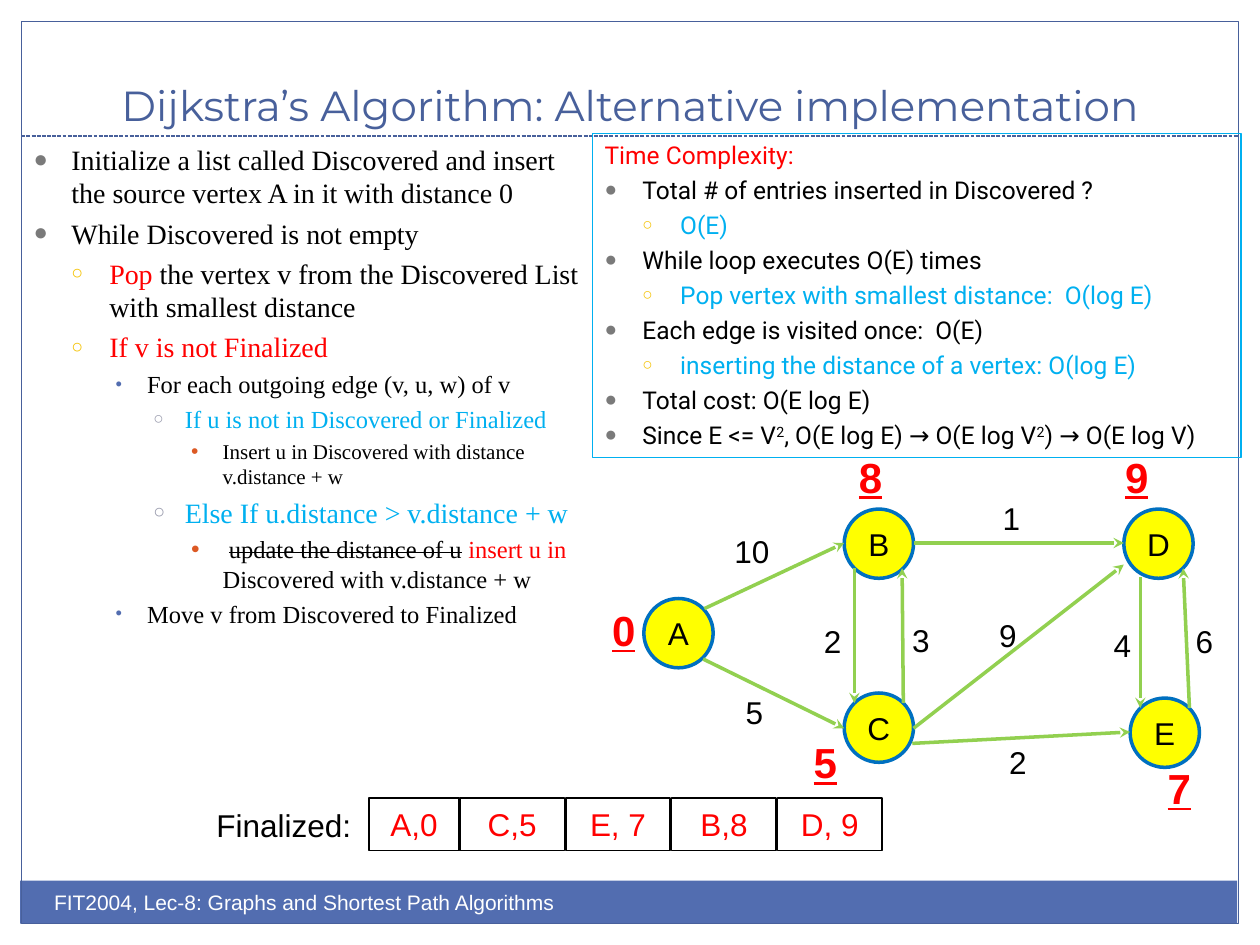
"""Builds a slide on an alternative implementation of Dijkstra's algorithm."""
from dataclasses import dataclass

from lxml import etree
from pptx import Presentation
from pptx.dml.color import RGBColor
from pptx.enum.dml import MSO_LINE
from pptx.enum.shapes import MSO_CONNECTOR, MSO_SHAPE
from pptx.enum.text import MSO_ANCHOR, MSO_AUTO_SIZE, PP_ALIGN
from pptx.oxml.ns import qn
from pptx.util import Pt

RECT, OVAL = MSO_SHAPE.RECTANGLE, MSO_SHAPE.OVAL
LINE, DASH = MSO_CONNECTOR.STRAIGHT, MSO_LINE.SQUARE_DOT
TOP, MID, BASE = MSO_ANCHOR.TOP, MSO_ANCHOR.MIDDLE, MSO_ANCHOR.BOTTOM
LEFT, MIDST = PP_ALIGN.LEFT, PP_ALIGN.CENTER
FIT, FIXED = MSO_AUTO_SIZE.SHAPE_TO_FIT_TEXT, MSO_AUTO_SIZE.NONE


@dataclass(frozen=True)
class Theme:
    black: str = "000000"
    white: str = "FFFFFF"
    red: str = "FF0000"
    sky: str = "00B0F0"
    blue: str = "526DB0"
    navy: str = "48609B"
    green: str = "92D050"
    yellow: str = "FFFF00"
    ring: str = "0070C0"
    sans: str = "Arial"
    serif: str = "Times New Roman"
    head: str = "Montserrat"
    note: str = "Roboto"
    large: int = 24
    label: int = 18
    main: int = 16
    mid: int = 14
    small: int = 12


T = Theme()
BULLETS = [
    ("●", "7A7A7A", 85, 21.6),
    ("○", "F5C201", 70, 21.6),
    ("•", T.blue, 75, 18),
    ("○", "989AAC", 70, 18),
    ("•", "DC5924", 100, 18),
]
STEPS = [
    (0, T.main, [("Initialize a list called Discovered and insert the source "
                  "vertex A in it with distance 0", T.black)]),
    (0, T.main, [("While Discovered is not empty", T.black)]),
    (1, T.main, [("Pop", T.red), (" the vertex v from the Discovered List "
                                  "with smallest distance", T.black)]),
    (1, T.main, [("If v is not Finalized", T.red)]),
    (2, T.mid, [("For each outgoing edge (v, u, w) of v", T.black)]),
    (3, T.mid, [("If u is not in Discovered or Finalized", T.sky)]),
    (4, T.small, [("Insert u in Discovered with distance v.distance + w", T.black)]),
    (3, T.main, [("Else If u.distance > v.distance + w", T.sky)]),
    (4, T.mid, [(" ", T.black),
                ("update the distance of u", T.black, {"strike": "sngStrike"}),
                (" ", T.black), ("insert u in", T.red),
                (" Discovered with v.distance + w", T.black)]),
    (2, T.mid, [("Move v from Discovered to Finalized", T.black)]),
]
SUPER = ("2", T.black, {"baseline": "30000"})
COSTS = [
    (None, T.mid, [("Time Complexity:", T.red)]),
    (0, T.mid, [("Total # of entries inserted in Discovered ?", T.black)]),
    (1, T.mid, [("O(E)", T.sky)]),
    (0, T.mid, [("While loop executes O(E) times", T.black)]),
    (1, T.mid, [("Pop vertex with smallest distance:  O(log E)", T.sky)]),
    (0, T.mid, [("Each edge is visited once:  O(E) ", T.black)]),
    (1, T.mid, [("inserting the distance of a vertex: O(log E)", T.sky)]),
    (0, T.mid, [("Total cost: O(E log E)", T.black)]),
    (0, T.mid, [("Since E <= V", T.black), SUPER,
                (", O(E log E) → O(E log V", T.black), SUPER,
                (") → O(E log V) ", T.black)]),
]
NODES = [("A", 367.9, 342), ("B", 482.4, 290.9), ("C", 482.4, 396),
         ("D", 642.2, 290.9), ("E", 645.8, 398.9)]
EDGES = [
    ("10", (412.6, 300.2), (402.5, 347.8), (482.4, 310.3)),
    ("5", (419, 392.4), (401.8, 376.6), (482.4, 416.2)),
    ("2", (463.7, 352.1), (488.2, 324.7), (488.2, 401.8)),
    ("3", (514.1, 351.4), (516.2, 401.8), (515.5, 324.7)),
    ("1", (565.9, 281.5), (522, 310.3), (642.2, 310.3)),
    ("9", (563.8, 348.5), (522, 416.2), (642.2, 322.6)),
    ("2", (569.5, 421.2), (521.3, 424.8), (645.8, 418.3)),
    ("4", (629.3, 354.2), (651.6, 329.8), (651.6, 404.6)),
    ("6", (676.1, 352.1), (679.7, 404.6), (676.1, 324.7)),
]
COSTMARKS = [("0", 342.7, 342), ("5", 457.9, 417.6), ("8", 483.8, 254.2),
             ("9", 635.8, 254.2), ("7", 660.2, 432)]
DONE = ["A,0", "C,5", "E, 7", "B,8", "D, 9"]


def rgb(hue):
    """Turn a hex string into a colour."""
    return RGBColor.from_string(hue)


def add_run(para, text, size, face, hue, attrs=None):
    """Add one formatted run."""
    run = para.add_run()
    run.text = text
    run.font.size, run.font.name = Pt(size), face
    run.font.color.rgb = rgb(hue)
    for key, val in (attrs or {}).items():
        run._r.get_or_add_rPr().set(key, val)


def add_bullet(para, level):
    """Give a paragraph the bullet and indent of its level."""
    mark, hue, scale, hang = BULLETS[level]
    para.level = level
    props = para._p.get_or_add_pPr()
    props.set("marL", str(Pt(21.6 * (level + 1))))
    props.set("indent", str(-Pt(hang)))
    tint = etree.SubElement(props, qn("a:buClr"))
    etree.SubElement(tint, qn("a:srgbClr"), val=hue)
    etree.SubElement(props, qn("a:buSzPct"), val=str(scale * 1000))
    etree.SubElement(props, qn("a:buFont"), typeface=T.sans)
    etree.SubElement(props, qn("a:buChar"), char=mark)


def fill_list(frame, items, face):
    """Write a bulleted list into a text frame."""
    for i, (level, size, runs) in enumerate(items):
        para = frame.add_paragraph() if i else frame.paragraphs[0]
        para.alignment = LEFT
        para.space_before = Pt(round(size * 0.23, 1))
        if level is not None:
            add_bullet(para, level)
        for text, hue, *attrs in runs:
            add_run(para, text, size, face, hue, *attrs)


def add_box(slide, kind, box, fill=None, line=None, width=1):
    """Add a preset shape with a plain fill and outline."""
    shape = slide.shapes.add_shape(kind, *map(Pt, box))
    shape.shadow.inherit = False
    if fill:
        shape.fill.solid()
        shape.fill.fore_color.rgb = rgb(fill)
    else:
        shape.fill.background()
    if line:
        shape.line.color.rgb = rgb(line)
        shape.line.width = Pt(width)
    else:
        shape.line.fill.background()
    return shape


def set_label(shape, text, hue):
    """Centre a short label in a shape."""
    frame = shape.text_frame
    frame.vertical_anchor, frame.word_wrap = MID, False
    para = frame.paragraphs[0]
    para.alignment = MIDST
    add_run(para, text, T.label, T.sans, hue)


def add_text(slide, box, text, size, hue, attrs=None, wrap=False):
    """Add a one-line text box."""
    frame = slide.shapes.add_textbox(*map(Pt, box)).text_frame
    frame.word_wrap = wrap
    frame.auto_size = FIXED if wrap else FIT
    add_run(frame.paragraphs[0], text, size, T.sans, hue, attrs)


def add_line(slide, start, end, hue, width, dash=None, head=False):
    """Add a straight line, with an arrowhead if asked."""
    line = slide.shapes.add_connector(LINE, *map(Pt, start + end))
    line.line.color.rgb = rgb(hue)
    line.line.width = Pt(width)
    if dash:
        line.line.dash_style = dash
    if head:
        etree.SubElement(line.line._get_or_add_ln(), qn("a:tailEnd"), type="stealth")
    etree.SubElement(line._element.spPr, qn("a:effectLst"))


def add_title(slide, text):
    """Place and fill the title."""
    title = slide.shapes.title
    title.left, title.top, title.width, title.height = map(Pt, (24, 18, 672, 60))
    frame = title.text_frame
    frame.vertical_anchor, frame.word_wrap = BASE, True
    para = frame.paragraphs[0]
    para.alignment = MIDST
    add_run(para, text, T.large, T.head, T.navy)


def add_graph(slide):
    """Draw the vertices, weighted edges and distances."""
    for name, left, top in NODES:
        node = add_box(slide, OVAL, (left, top, 39.6, 39.6), T.yellow, T.ring, 2)
        set_label(node, name, T.black)
    for text, spot, start, end in EDGES:
        add_line(slide, start, end, T.green, 2, head=True)
        add_text(slide, (*spot, 14.4 + 10 * len(text), 29), text, T.label, T.black)
    for text, left, top in COSTMARKS:
        add_text(slide, (left, top, 28, 36), text, T.large, T.red,
                 {"b": "1", "u": "sng"})


def add_done(slide):
    """Draw the row of finalized vertices."""
    add_text(slide, (116.6, 457.2, 92.2, 29), "Finalized:", T.label, T.black)
    for i, text in enumerate(DONE):
        left, width = (202.3 + 60.5 * i, 59.8) if i else (211, 51.1)
        cell = add_box(slide, RECT, (left, 455.8, width, 30.2), line=T.black)
        set_label(cell, text, T.red)


def main():
    """Build and save the slide."""
    deck = Presentation()
    deck.slide_width, deck.slide_height = Pt(720), Pt(540)
    slide = deck.slides.add_slide(deck.slide_layouts[5])
    add_box(slide, RECT, (11.5, 503.3, 695.5, 24.5), T.blue)
    add_box(slide, RECT, (12.2, 12.2, 695.5, 515.5), line=T.navy, width=0.75)
    add_line(slide, (12.2, 77.8), (707.8, 77.8), T.navy, 0.75, DASH)
    add_title(slide, "Dijkstra’s Algorithm: Alternative implementation")
    add_text(slide, (23.8, 504.7, 360, 28.8),
             "FIT2004, Lec-8: Graphs and Shortest Path Algorithms",
             T.small, T.white, wrap=True)
    steps = slide.shapes.add_textbox(*map(Pt, (12.2, 77.8, 326.2, 347))).text_frame
    steps.word_wrap = True
    fill_list(steps, STEPS, T.serif)
    add_graph(slide)
    add_done(slide)
    costs = add_box(slide, RECT, (338.4, 76.3, 370.8, 185), line=T.sky, width=0.75)
    costs.text_frame.word_wrap = True
    costs.text_frame.vertical_anchor = TOP
    fill_list(costs.text_frame, COSTS, T.note)
    deck.save("out.pptx")


main()
